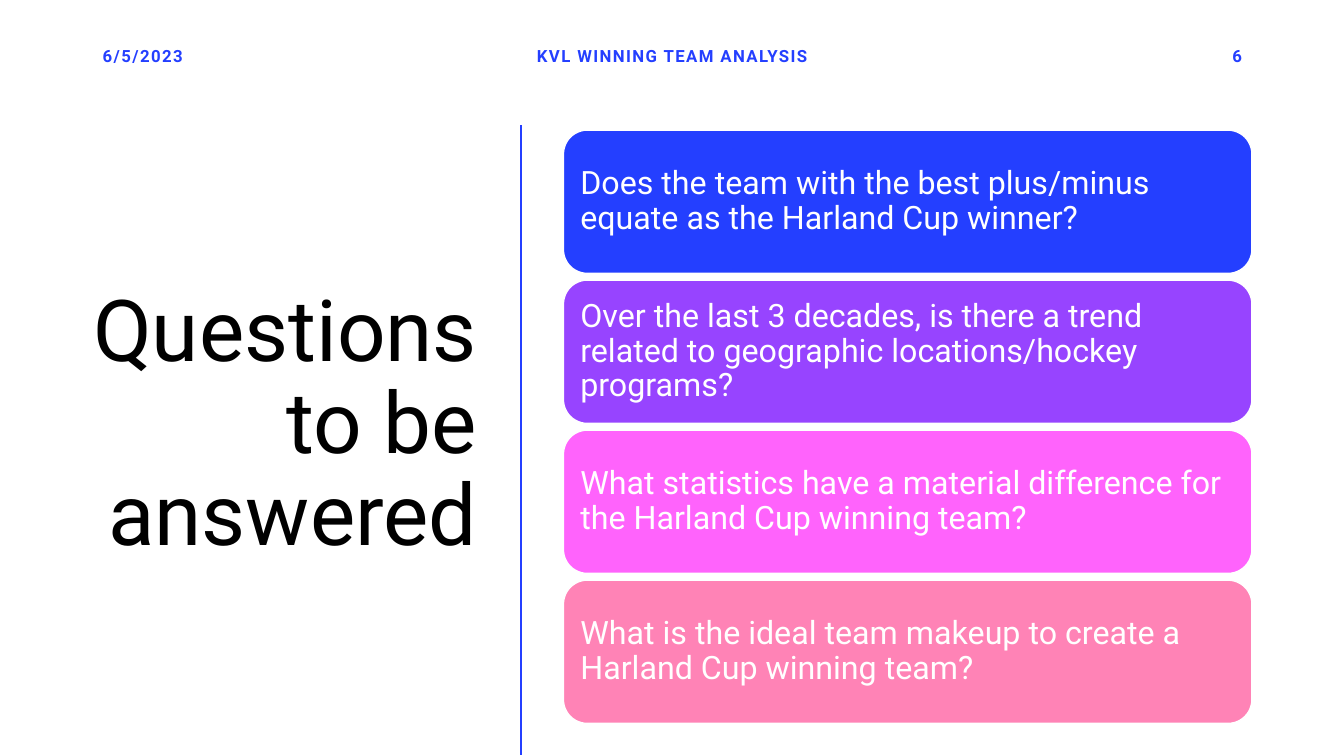
from lxml.etree import SubElement
from pptx import Presentation
from pptx.dml.color import RGBColor
from pptx.enum.shapes import MSO_CONNECTOR as Connector, MSO_SHAPE as Shape
from pptx.enum.text import MSO_ANCHOR as Anchor, MSO_AUTO_SIZE as AutoSize, PP_ALIGN as Align
from pptx.oxml.ns import qn
from pptx.util import Cm, Pt

BLACK = RGBColor(0x00, 0x00, 0x00)
WHITE = RGBColor(0xFF, 0xFF, 0xFF)
BLUE = RGBColor(0x24, 0x3F, 0xFF)
PURPLE = RGBColor(0x97, 0x44, 0xFF)
MAGENTA = RGBColor(0xFF, 0x63, 0xFC)
PINK = RGBColor(0xFF, 0x83, 0xB6)

HEADERS = [
    ("6/5/2023", 2.34, 7.62, Align.LEFT),
    ("KVL WINNING TEAM ANALYSIS", 11.23, 11.43, Align.CENTER),
    ("6", 23.93, 7.62, Align.RIGHT),
]
QUESTIONS = [
    ("Does the team with the best plus/minus equate as the Harland Cup winner?", BLUE),
    ("Over the last 3 decades, is there a trend related to geographic "
     "locations/hockey programs?", PURPLE),
    ("What statistics have a material difference for the Harland Cup winning team?", MAGENTA),
    ("What is the ideal team makeup to create a Harland Cup winning team?", PINK),
]
CARD_TOP, CARD_PITCH = 3.28, 3.78


class SlideBuilder:
    """Holds the text style and the current slide."""

    font_name = "Roboto"

    def __init__(self, page):
        self.page = page

    def set_text(self, box, text, size, color, align, line_spacing=1.0, bold=False, tracking=0):
        frame = box.text_frame
        frame_format = {"word_wrap": True, "auto_size": AutoSize.NONE,
                        "vertical_anchor": Anchor.MIDDLE}
        para = frame.paragraphs[0]
        para_format = {"alignment": align, "line_spacing": line_spacing}
        span = para.add_run()
        span.text = text
        font_format = {"name": self.font_name, "size": Pt(size), "bold": bold}
        for target, values in ((frame, frame_format), (para, para_format),
                               (span.font, font_format)):
            for name, value in values.items():
                setattr(target, name, value)
        span.font.color.rgb = color
        if tracking:
            span._r.get_or_add_rPr().set("spc", str(tracking * 100))

    def title(self, text, left, top, width, height):
        box = self.page.shapes.title
        place = {"left": left, "top": top, "width": width, "height": height}
        for name, value in place.items():
            setattr(box, name, Cm(value))
        self.set_text(box, text, 61, BLACK, Align.RIGHT, line_spacing=0.9)

    def header(self, text, left, width, align):
        box = self.page.shapes.add_textbox(Cm(left), Cm(0.89), Cm(width), Cm(1.02))
        self.set_text(box, text, 12, BLUE, align, bold=True, tracking=1)

    def divider(self, x, top, bottom):
        line = self.page.shapes.add_connector(
            Connector.STRAIGHT, Cm(x), Cm(top), Cm(x), Cm(bottom))
        line.line.color.rgb = BLUE
        line.line.width = Pt(2)
        SubElement(line._element.spPr, qn("a:effectLst"))

    def card(self, text, color, top):
        box = self.page.shapes.add_shape(
            Shape.ROUNDED_RECTANGLE, Cm(14.2), Cm(top), Cm(17.35), Cm(3.61))
        box.shadow.inherit = False
        box.fill.solid()
        box.fill.fore_color.rgb = color
        box.line.color.rgb = WHITE
        box.line.width = Pt(1)
        for side in ("left", "right", "top", "bottom"):
            setattr(box.text_frame, f"margin_{side}", Cm(0.25))
        self.set_text(box, text, 23, WHITE, Align.LEFT, line_spacing=0.9)


def main():
    deck = Presentation()
    deck.slide_width, deck.slide_height = Cm(33.87), Cm(19.05)
    builder = SlideBuilder(deck.slides.add_slide(deck.slide_layouts[5]))

    # Title and header row
    builder.title("Questions to be answered", 1.32, 2.97, 10.95, 15.52)
    for header in HEADERS:
        builder.header(*header)

    # Divider and question cards
    builder.divider(13.13, 3.15, 19.02)
    for index, (question, color) in enumerate(QUESTIONS):
        builder.card(question, color, CARD_TOP + index * CARD_PITCH)

    deck.save("out.pptx")


if __name__ == "__main__":
    main()
